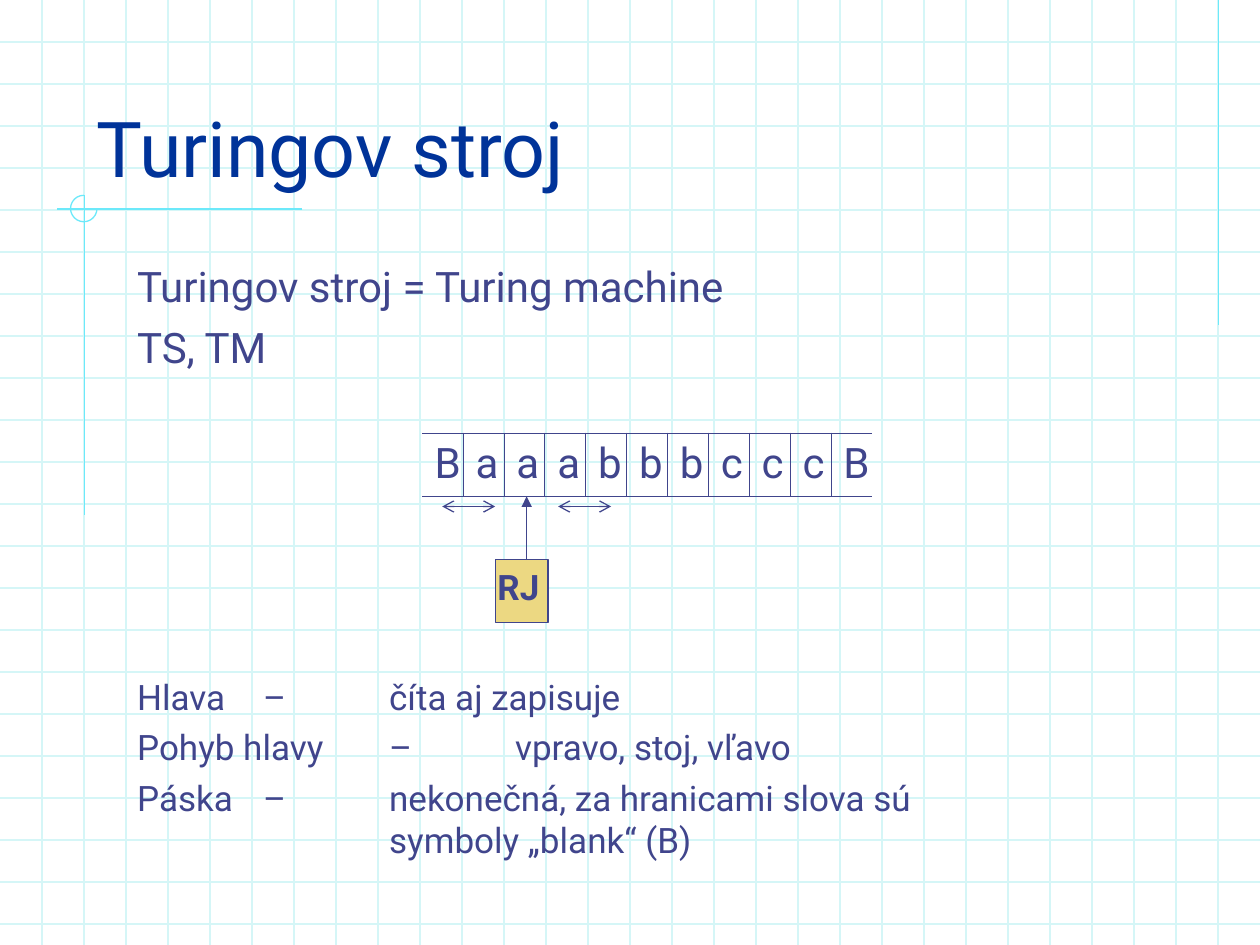
from lxml import etree
from pptx import Presentation
from pptx.dml.color import RGBColor
from pptx.enum.shapes import MSO_CONNECTOR, MSO_SHAPE
from pptx.enum.text import MSO_ANCHOR
from pptx.oxml.ns import qn
from pptx.util import Inches, Pt

COLORS = {
    "grid": "D5F6F7",
    "accent": "6CE9FA",
    "title": "003399",
    "ink": "40458C",
    "control": "ECD882",
}
FONT = "Roboto"

presentation = Presentation()
presentation.slide_width = Inches(10)
presentation.slide_height = Inches(7.5)
slide = presentation.slides.add_slide(presentation.slide_layouts[6])


def add_line(start, end, color, head=None, tail=None):
    line = slide.shapes.add_connector(
        MSO_CONNECTOR.STRAIGHT, *[Inches(value) for value in (*start, *end)])
    line.line.color.rgb = RGBColor.from_string(COLORS[color])
    line.line.width = Pt(0.75)
    outline = line.line._get_or_add_ln()
    for tag, kind in (("a:headEnd", head), ("a:tailEnd", tail)):
        if kind:
            etree.SubElement(outline, qn(tag), type=kind)
    etree.SubElement(line._element.spPr, qn("a:effectLst"))


def write_lines(text_frame, lines, size, color="ink", space=0, bold=False):
    for index, text in enumerate(lines):
        paragraph = text_frame.paragraphs[0] if index == 0 else text_frame.add_paragraph()
        paragraph.space_before = Pt(space)
        run = paragraph.add_run()
        run.text = text
        run.font.name = FONT
        run.font.size = Pt(size)
        run.font.bold = bold
        run.font.color.rgb = RGBColor.from_string(COLORS[color])


# Background grid, three squares to the inch
for row in range(1, 23):
    add_line((0, row / 3), (10, row / 3), "grid")
for column in range(1, 30):
    add_line((column / 3, 0), (column / 3, 7.5), "grid")

# Accent lines and three-quarter circle
add_line((9.67, 0), (9.67, 2.58), "accent")
add_line((2.4, 1.66), (0.45, 1.66), "accent")
add_line((0.67, 1.55), (0.67, 4.09), "accent")
arc = slide.shapes.add_shape(
    MSO_SHAPE.ARC, Inches(0.56), Inches(1.55), Inches(0.21), Inches(0.21))
arc.adjustments[0] = 0
arc.adjustments[1] = 162  # 270 degrees
arc.shadow.inherit = False
arc.fill.background()
arc.line.color.rgb = RGBColor.from_string(COLORS["accent"])
arc.line.width = Pt(0.75)

# Tape
symbols = "BaaabbbcccB"
tape = slide.shapes.add_table(
    1, len(symbols), Inches(3.35), Inches(3.44), Inches(3.57), Inches(0.5)).table
tape.first_row = False
tape.horz_banding = False
for index, symbol in enumerate(symbols):
    tape.columns[index].width = Inches(3.57 / len(symbols))
    cell = tape.cell(0, index)
    cell.fill.background()
    write_lines(cell.text_frame, [symbol], 24, space=6)
    borders = {
        "a:lnL": 0.45 if index > 0 else 0,
        "a:lnR": 0.45 if index < len(symbols) - 1 else 0,
        "a:lnT": 1.08,
        "a:lnB": 1.08,
    }
    properties = cell._tc.get_or_add_tcPr()
    for position, (tag, width) in enumerate(borders.items()):
        border = etree.Element(qn(tag), w=str(Pt(width)))
        properties.insert(position, border)
        if width:
            fill = etree.SubElement(border, qn("a:solidFill"))
            etree.SubElement(fill, qn("a:srgbClr"), val=COLORS["ink"])
        else:
            etree.SubElement(border, qn("a:noFill"))

# Control unit, its head and the movement arrows
add_line((4.18, 3.94), (4.18, 4.44), "ink", head="triangle")
control = slide.shapes.add_shape(
    MSO_SHAPE.RECTANGLE, Inches(3.93), Inches(4.44), Inches(0.42), Inches(0.5))
control.shadow.inherit = False
control.fill.solid()
control.fill.fore_color.rgb = RGBColor.from_string(COLORS["control"])
control.line.color.rgb = RGBColor.from_string(COLORS["ink"])
control.line.width = Pt(0.75)
for left in (4.43, 3.51):
    add_line((left, 4.02), (left + 0.42, 4.02), "ink", head="arrow", tail="arrow")

# Title, introduction, control unit label and notes
notes = [
    "Hlava\t–\tčíta aj zapisuje",
    "Pohyb hlavy\t–\tvpravo, stoj, vľavo",
    "Páska\t–\tnekonečná, za hranicami slova sú",
    "\t\tsymboly „blank“ (B)",
]
text_boxes = [
    ((0.67, 0.33, 8.5, 1.25), ["Turingov stroj"], 44, "title", 0, False),
    ((0.99, 2.02, 8.5, 1), ["Turingov stroj = Turing machine", "TS, TM"], 24, "ink", 6, False),
    ((3.85, 4.44, 0.67, 0.44), ["RJ"], 20, "ink", 0, True),
    ((0.99, 5.31, 8.5, 1.83), notes, 20, "ink", 5, False),
]
for box, lines, size, color, space, bold in text_boxes:
    text_frame = slide.shapes.add_textbox(*[Inches(value) for value in box]).text_frame
    text_frame.word_wrap = True
    text_frame.vertical_anchor = MSO_ANCHOR.BOTTOM if color == "title" else MSO_ANCHOR.TOP
    write_lines(text_frame, lines, size, color, space, bold)
text_frame.paragraphs[-1].space_before = Pt(0)  # continues the line above

# Tab stops of the notes, one to the inch
for paragraph in text_frame.paragraphs:
    tab_list = etree.SubElement(paragraph._p.get_or_add_pPr(), qn("a:tabLst"))
    for stop in (1, 2, 3):
        etree.SubElement(tab_list, qn("a:tab"), pos=str(Inches(stop)), algn="l")

presentation.save("out.pptx")
